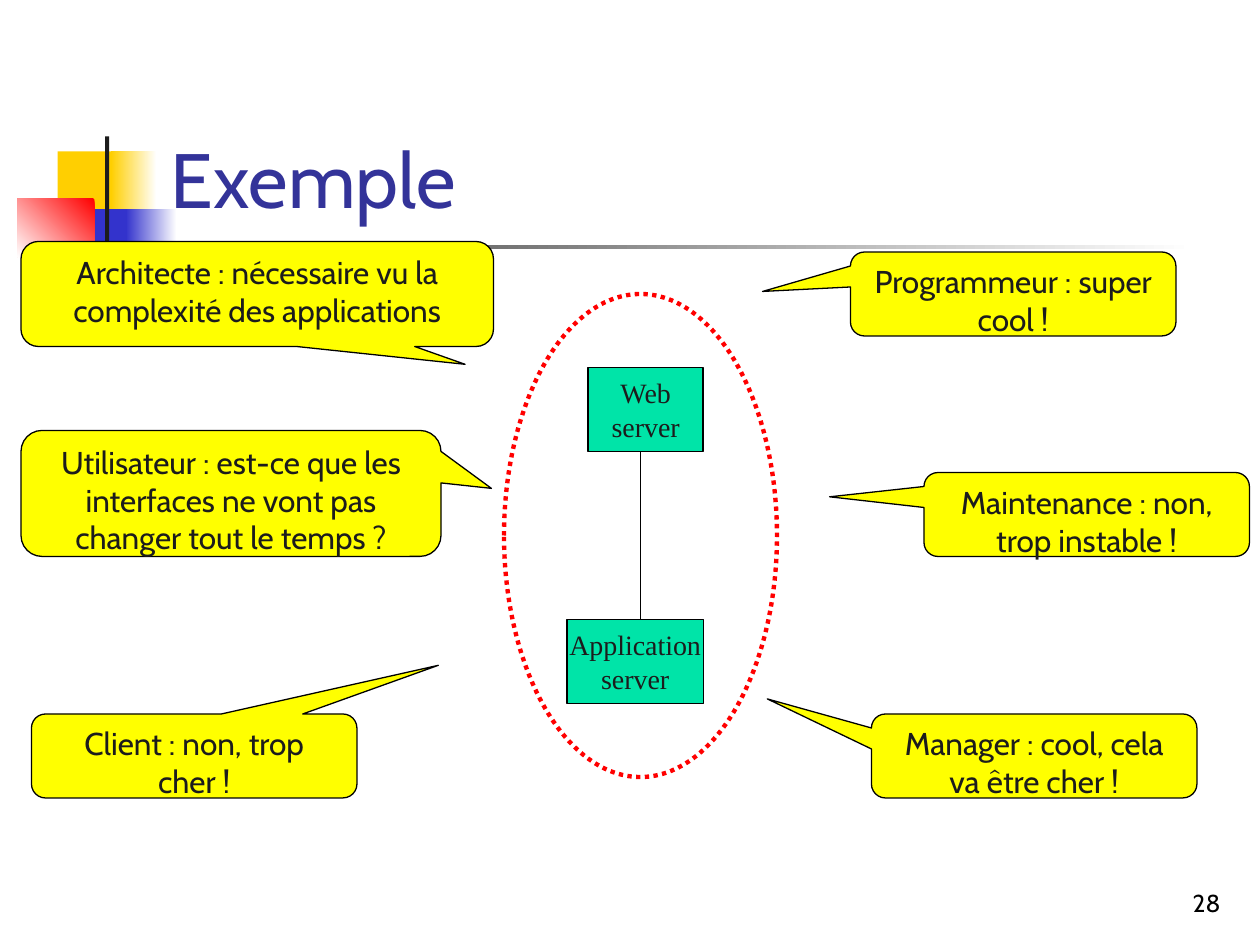
from pptx import Presentation
from pptx.dml.color import RGBColor
from pptx.enum.dml import MSO_LINE
from pptx.enum.shapes import MSO_CONNECTOR, MSO_SHAPE
from pptx.enum.text import MSO_ANCHOR, PP_ALIGN
from pptx.oxml.ns import qn
from pptx.util import Pt
from lxml import etree

RECT, OVAL = MSO_SHAPE.RECTANGLE, MSO_SHAPE.OVAL
BUBBLE = MSO_SHAPE.ROUNDED_RECTANGULAR_CALLOUT
TOP, MIDDLE, BOTTOM = MSO_ANCHOR.TOP, MSO_ANCHOR.MIDDLE, MSO_ANCHOR.BOTTOM
LEFT, CENTER, RIGHT = PP_ALIGN.LEFT, PP_ALIGN.CENTER, PP_ALIGN.RIGHT
DOTS = MSO_LINE.ROUND_DOT

THEME = {
    "ink": "1C1C1C", "line": "000000", "white": "FFFFFF",
    "gold": "FFCF01", "blue": "3333CC", "red": "FF0000",
    "green": "00E4A8", "yellow": "FFFF00",
    "title": {"name": "Cabin", "size": 44, "color": "333399"},
    "bubble": {"name": "Cabin", "size": 18, "color": "1C1C1C"},
    "server": {"name": "Times New Roman", "size": 16, "color": "1C1C1C"},
    "page": {"name": "Cabin", "size": 14, "color": "000000"},
}

TITLE = ("Exemple", (90.5, 16.5, 613.5, 115))
PAGE = ("28", (554.5, 492, 150, 36))

# box, colours (two make a gradient), counter-clockwise angle
DECOR = [
    ((33, 86.5, 34.5, 37.5), ["gold"], 0),
    ((63.5, 86.5, 26, 37.5), ["white", "gold"], 180),
    ((42.5, 119.5, 33, 37.5), ["blue"], 0),
    ((72, 119.5, 29, 37.5), ["white", "blue"], 180),
    ((10, 113.5, 44, 33.5), ["red", "white"], 225),
    ((60, 78, 2.4, 83), ["ink"], 0),
    ((34.5, 140, 648, 2.5), ["white", "ink"], 180),
]

SERVERS = [
    ("Web\nserver", (336, 210, 66, 48)),
    ("Application\nserver", (324, 354, 78, 48)),
]
LINK_X = 366
SYSTEM = (288, 168, 156, 276)

# text, box, tail tip as a share of the box from its centre
SMALL = (186, 48)
OPINIONS = [
    ("Programmeur : super cool !", (486, 144, *SMALL), (-0.77, -0.03)),
    ("Manager : cool, cela va être cher !", (498, 408, *SMALL), (-0.82, -0.68)),
    ("Client : non, trop cher !", (18, 408, *SMALL), (0.75, -1.08)),
    ("Architecte : nécessaire vu la complexité des applications",
     (12, 138, 270, 60), (0.44, 0.67)),
    ("Maintenance : non, trop instable !", (528, 270, *SMALL), (-0.79, -0.21)),
    ("Utilisateur : est-ce que les interfaces ne vont pas changer tout le temps ?",
     (12, 246, 240, 72), (0.62, -0.04)),
]


def paint(color, key):
    color.rgb = RGBColor.from_string(THEME.get(key, key))


def place(shape, box):
    for name, value in zip(("left", "top", "width", "height"), box):
        setattr(shape, name, Pt(value))


def write(shape, text, style, align, anchor, wrap=True):
    frame = shape.text_frame
    frame.text = text
    look = {"word_wrap": wrap, "vertical_anchor": anchor,
            "margin_left": Pt(7.2), "margin_right": Pt(7.2),
            "margin_top": Pt(3.6), "margin_bottom": Pt(3.6)}
    for name, value in look.items():
        setattr(frame, name, value)
    for para in frame.paragraphs:
        para.alignment = align
        para.font.name = THEME[style]["name"]
        para.font.size = Pt(THEME[style]["size"])
        paint(para.font.color, THEME[style]["color"])


def draw(shapes, kind, box, fills=(), angle=0, line=None, width=1):
    """Add a preset shape with no, solid or two-colour fill."""
    shape = shapes.add_shape(kind, *map(Pt, box))
    shape.shadow.inherit = False
    if len(fills) == 2:
        shape.fill.gradient()
        shape.fill.gradient_angle = angle
        for stop, key, pos in zip(shape.fill.gradient_stops, fills, (0, 1)):
            paint(stop.color, key)
            stop.position = pos
    elif fills:
        shape.fill.solid()
        paint(shape.fill.fore_color, fills[0])
    else:
        shape.fill.background()
    if line:
        paint(shape.line.color, line)
        shape.line.width = Pt(width)
    else:
        shape.line.fill.background()
    return shape


def connect(shapes, start, end):
    link = shapes.add_connector(MSO_CONNECTOR.STRAIGHT, *map(Pt, start + end))
    paint(link.line.color, "line")
    link.line.width = Pt(1)
    etree.SubElement(link._element.spPr, qn("a:effectLst"))


def main():
    deck = Presentation()
    deck.slide_width, deck.slide_height = Pt(720), Pt(540)
    slide = deck.slides.add_slide(deck.slide_layouts[5])
    shapes = slide.shapes

    for box, fills, angle in DECOR:
        draw(shapes, RECT, box, fills, angle)

    for text, box in SERVERS:
        node = draw(shapes, RECT, box, ["green"], line="line")
        write(node, text, "server", CENTER, MIDDLE, wrap=False)
    upper, lower = (box for _, box in SERVERS)
    connect(shapes, (LINK_X, upper[1] + upper[3]), (LINK_X, lower[1]))

    ring = draw(shapes, OVAL, SYSTEM, line="red", width=2.5)
    ring.line.dash_style = DOTS

    for text, box, tip in OPINIONS:
        bubble = draw(shapes, BUBBLE, box, ["yellow"], line="line", width=0.75)
        bubble.adjustments[0], bubble.adjustments[1] = tip
        write(bubble, text, "bubble", CENTER, TOP)

    text, box = TITLE
    place(shapes.title, box)
    write(shapes.title, text, "title", LEFT, BOTTOM)

    text, box = PAGE
    write(shapes.add_textbox(*map(Pt, box)), text, "page", RIGHT, BOTTOM)

    deck.save("out.pptx")


if __name__ == "__main__":
    main()
